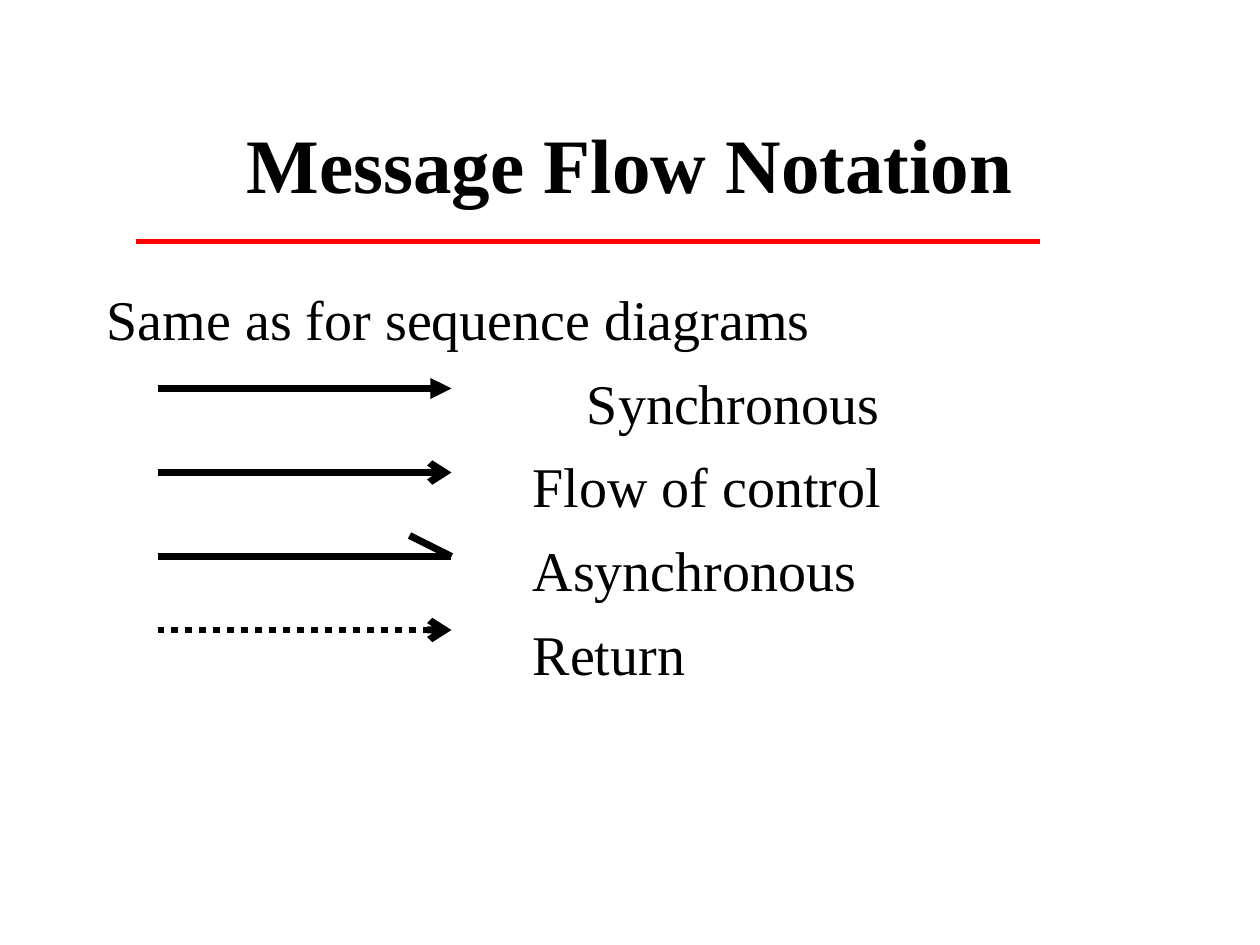
from pptx import Presentation
from pptx.dml.color import RGBColor
from pptx.enum.dml import MSO_LINE
from pptx.enum.shapes import MSO_CONNECTOR
from pptx.enum.text import MSO_ANCHOR, PP_ALIGN
from pptx.oxml.ns import qn
from pptx.util import Inches, Pt
from lxml.etree import SubElement

COLORS = {"ink": "000000", "rule": "FF0000"}
FONT = "Times New Roman"

presentation = Presentation()
presentation.slide_width = Inches(10)
presentation.slide_height = Inches(7.5)
slide = presentation.slides.add_slide(presentation.slide_layouts[6])
CELL = presentation.slide_width // 120


def add_line(shapes, start, end, color="ink", width=4, head=None, dash=None):
    points = [CELL * position for position in (*start, *end)]
    line = shapes.add_connector(MSO_CONNECTOR.STRAIGHT, *points)
    line.line.color.rgb = RGBColor.from_string(COLORS[color])
    line.line.width = Pt(width)
    if dash:
        line.line.dash_style = dash
    if head:
        SubElement(line.line._get_or_add_ln(), qn("a:tailEnd"), type=head)
    SubElement(line._element.spPr, qn("a:effectLst"))


def add_text(column, row, columns, rows, lines, size, bold=False):
    box = slide.shapes.add_textbox(*[CELL * n for n in (column, row, columns, rows)])
    frame = box.text_frame
    frame.word_wrap = True
    frame.text = "\n".join(lines)
    for paragraph in frame.paragraphs:
        font = paragraph.runs[0].font
        font.name, font.size, font.bold = FONT, Pt(size), bold
        font.color.rgb = RGBColor.from_string(COLORS["ink"])
    return frame


add_line(slide.shapes, (13, 23), (99, 23), "rule", 3)

title = add_text(9, 8, 102, 15, ["Message Flow Notation"], 44, True)
title.vertical_anchor = MSO_ANCHOR.MIDDLE
title.paragraphs[0].alignment = PP_ALIGN.CENTER

entries = [
    ("Same as for sequence diagrams", 0),
    ("Synchronous", 3.81),
    ("Flow of control", 3.38),
    ("Asynchronous", 3.38),
    ("Return", 3.38),
]
body = add_text(9, 26, 102, 54, [label for label, indent in entries], 32)
body.margin_top = Inches(0.09)
for paragraph, (label, indent) in zip(body.paragraphs, entries):
    paragraph.space_before = Pt(9.5 if indent else 0)
    paragraph._p.get_or_add_pPr().set("marL", str(Inches(indent)))

arrows = [(37, "triangle", None), (45, "arrow", None), (60, "arrow", MSO_LINE.ROUND_DOT)]
for row, head, dash in arrows:
    add_line(slide.shapes, (15, row), (43, row), head=head, dash=dash)

half_arrow = slide.shapes.add_group_shape()
add_line(half_arrow.shapes, (15, 53), (43, 53))
add_line(half_arrow.shapes, (43, 53), (39, 51))

presentation.save("out.pptx")
